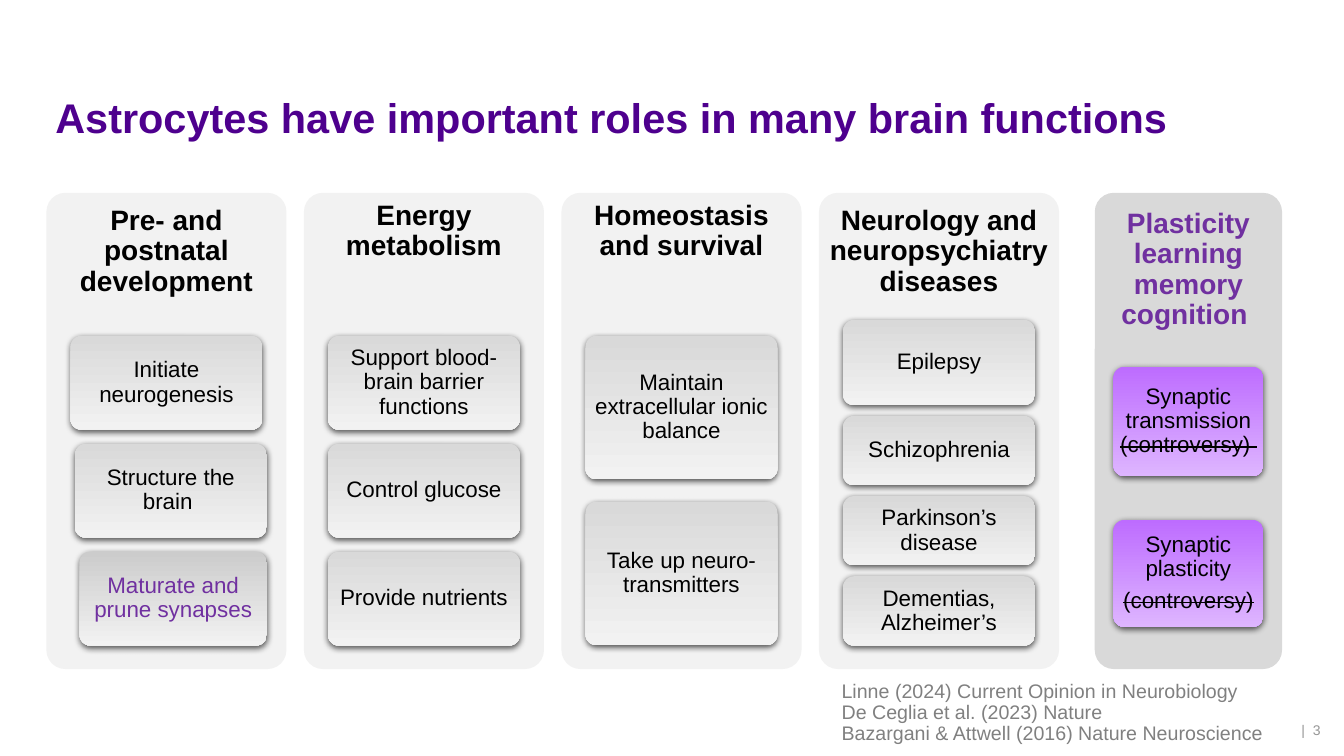
from lxml import etree
from pptx import Presentation
from pptx.dml.color import RGBColor
from pptx.enum.shapes import MSO_SHAPE
from pptx.enum.text import MSO_ANCHOR, PP_ALIGN
from pptx.oxml.ns import qn
from pptx.util import Cm, Pt

ROUND = MSO_SHAPE.ROUNDED_RECTANGLE
TOP, MIDDLE, BOTTOM = MSO_ANCHOR.TOP, MSO_ANCHOR.MIDDLE, MSO_ANCHOR.BOTTOM
LEFT, CENTER, RIGHT = PP_ALIGN.LEFT, PP_ALIGN.CENTER, PP_ALIGN.RIGHT

HEX = {
    "title": "4E008E", "black": "000000", "violet": "7030A0",
    "pale": "F2F2F2", "grey": "D9D9D9", "dark": "CCCCCC",
    "lilac": "BD6CFF", "light": "DEB5FF", "refs": "808080", "page": "969696",
}
PANEL_TOP, PANEL_HIGH = 4.86, 12
PANEL_LEFT, PANEL_WIDE, PITCH = 1.17, 6.05, 6.49

PLAIN = {"fills": ("grey", "pale")}
PURPLE = {"fills": ("lilac", "light")}
LAST = {"fills": ("dark", "pale"), "color": "violet", "shift": 0.23, "trim": 0.12}

# heading, top inset, offset of first card, gap, cards (paragraphs of runs, height, look)
COLUMNS = [
    ("Pre- and postnatal development", 0.2, 3.6, 0.35, [
        ([["Initiate neurogenesis"]], 2.37, PLAIN),
        ([["Structure the brain "]], 2.37, {**PLAIN, "shift": 0.11}),
        ([["Maturate and prune synapses"]], 2.37, LAST)]),
    ("Energy metabolism", 0.07, 3.6, 0.35, [
        ([["Support blood-brain barrier functions"]], 2.37, PLAIN),
        ([["Control glucose"]], 2.37, PLAIN),
        ([["Provide nutrients"]], 2.37, PLAIN)]),
    ("Homeostasis and survival", 0.07, 3.6, 0.56, [
        ([["Maintain extracellular ionic balance"]], 3.62, PLAIN),
        ([["Take up neuro-transmitters"]], 3.62, PLAIN)]),
    ("Neurology and neuropsychiatry diseases", 0.2, 3.2, 0.27, [
        ([["Epilepsy"]], 2.15, PLAIN),
        ([["Schizophrenia"]], 1.75, PLAIN),
        ([["Parkinson’s disease"]], 1.75, PLAIN),
        ([["Dementias, Alzheimer’s"]], 1.75, PLAIN)]),
]
MEMORY = ("Plasticity learning memory cognition ", 0.28, 4.38, 1.1, [
    ([["Synaptic transmission ", "(controversy) "]], 2.76, PURPLE),
    ([["Synaptic plasticity"], ["(controversy)"]], 2.7, PURPLE)])
REFS = [["Linne (2024) Current Opinion in Neurobiology"],
        ["De Ceglia et al. (2023) Nature"],
        ["Bazargani & Attwell (2016) Nature Neuroscience"]]


def rgb(name):
    return RGBColor.from_string(HEX[name])


def apply(target, values):
    for name, value in values.items():
        setattr(target, name, value)


def write(shape, paras, size, color, bold=False, align=LEFT, frame=None, **spacing):
    """Fill a shape with paragraphs of runs; bracketed runs are struck out."""
    text = shape.text_frame
    apply(text, {"word_wrap": True, **(frame or {})})
    for i, runs in enumerate(paras):
        para = text.paragraphs[0] if i == 0 else text.add_paragraph()
        apply(para, {"alignment": align, **spacing})
        for words in runs:
            run = para.add_run()
            run.text = words
            apply(run.font, {"name": "Arial", "size": Pt(size), "bold": bold})
            run.font.color.rgb = rgb(color)
            if words.startswith("("):
                run._r.get_or_add_rPr().set("strike", "sngStrike")


def block(slide, x, y, w, h, radius):
    shape = slide.shapes.add_shape(ROUND, Cm(x), Cm(y), Cm(w), Cm(h))
    shape.adjustments[0] = radius / min(w, h)
    shape.shadow.inherit = False
    shape.line.fill.background()
    return shape


def shade(shape):
    """Add a soft shadow below the shape."""
    effects = shape._element.spPr.find(qn("a:effectLst"))
    outer = etree.SubElement(effects, qn("a:outerShdw"), blurRad="57150",
                             dist="19050", dir="5400000", algn="ctr", rotWithShape="0")
    color = etree.SubElement(outer, qn("a:srgbClr"), val=HEX["black"])
    etree.SubElement(color, qn("a:alpha"), val="63000")


def card(slide, x, y, w, h, paras, fills, color="black", shift=0, trim=0):
    shape = block(slide, x + shift, y, w - trim, h, 0.28)
    shape.fill.gradient()
    shape.fill.gradient_angle = 270
    for stop, name in zip(shape.fill.gradient_stops, fills):
        stop.color.rgb = rgb(name)
    shade(shape)
    inset = {f"margin_{side}": Cm(0.08) for side in ("left", "top", "right", "bottom")}
    write(shape, paras, 16, color, align=CENTER, line_spacing=0.9, space_after=Pt(5.6),
          frame={"vertical_anchor": MIDDLE, **inset})


def column(slide, x, w, spec, fill="pale", color="black"):
    heading, inset, offset, gap, cards = spec
    panel = block(slide, x, PANEL_TOP, w, PANEL_HIGH, 0.48)
    panel.fill.solid()
    panel.fill.fore_color.rgb = rgb(fill)
    write(panel, [[heading]], 20, color, True, CENTER, line_spacing=0.9,
          frame={"vertical_anchor": TOP, "margin_top": Cm(inset),
                 "margin_left": Cm(0.05), "margin_right": Cm(0.05)})
    y = PANEL_TOP + offset
    for paras, high, look in cards:
        card(slide, x + w * 0.1, y, w * 0.8, high, paras, **look)
        y += high + gap


def header(slide, x, y, w, h):
    title = slide.shapes.title
    apply(title, {"left": Cm(x), "top": Cm(y), "width": Cm(w), "height": Cm(h)})
    write(title, [["Astrocytes have important roles in many brain functions"]],
          29.6, "title", True, line_spacing=0.8, frame={"vertical_anchor": BOTTOM})


def note(slide, x, y, w, h, paras, size, color, **style):
    box = slide.shapes.add_textbox(Cm(x), Cm(y), Cm(w), Cm(h))
    write(box, paras, size, color, **style)


def main():
    deck = Presentation()
    deck.slide_width, deck.slide_height = Cm(33.87), Cm(19.05)
    slide = deck.slides.add_slide(deck.slide_layouts[5])
    header(slide, 1.14, 1.88, 29.21, 1.8)
    for i, spec in enumerate(COLUMNS):
        column(slide, PANEL_LEFT + i * PITCH, PANEL_WIDE, spec)
    column(slide, 27.59, 4.72, MEMORY, "grey", "violet")
    note(slide, 32.49, 18.03, 1.04, 0.71, [["|  3"]], 10, "page", align=RIGHT,
         frame={"vertical_anchor": BOTTOM, "margin_left": 0})
    note(slide, 20.96, 17.04, 11.53, 1.88, REFS, 14, "refs", line_spacing=0.9)
    deck.save("out.pptx")


if __name__ == "__main__":
    main()
